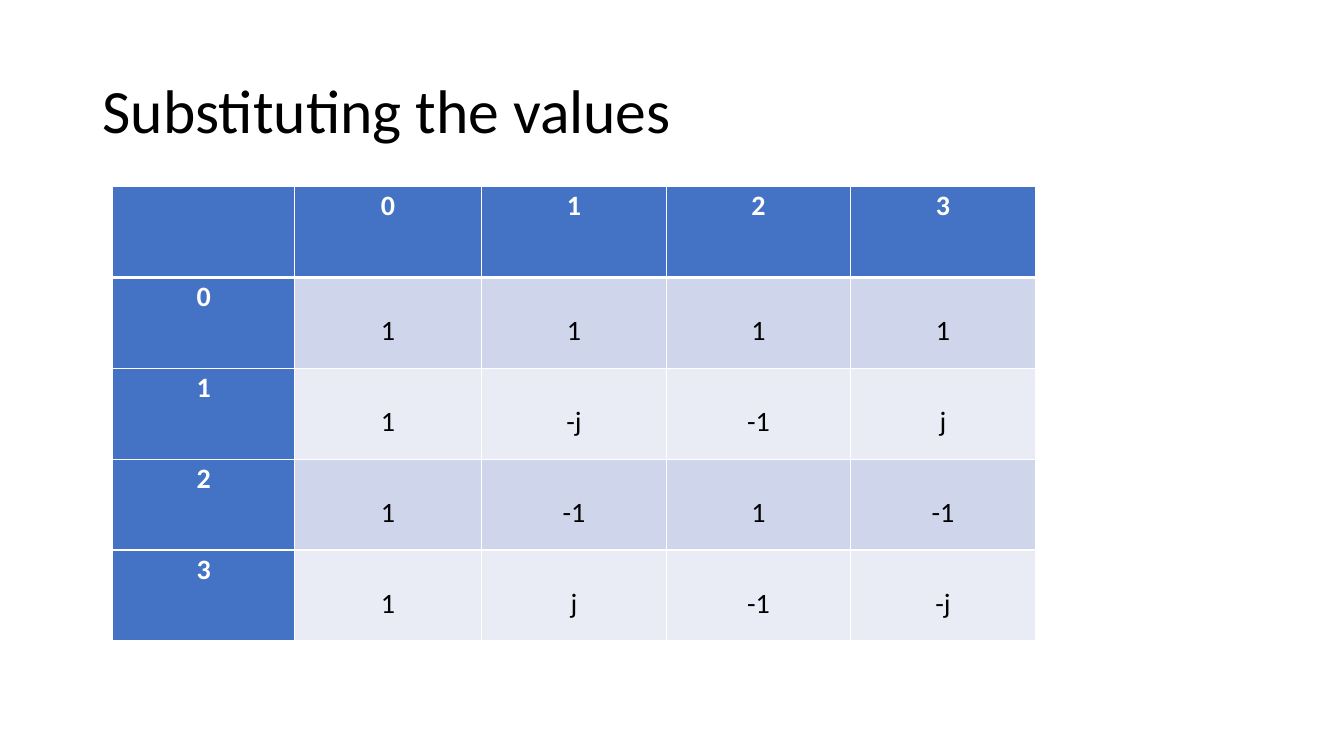
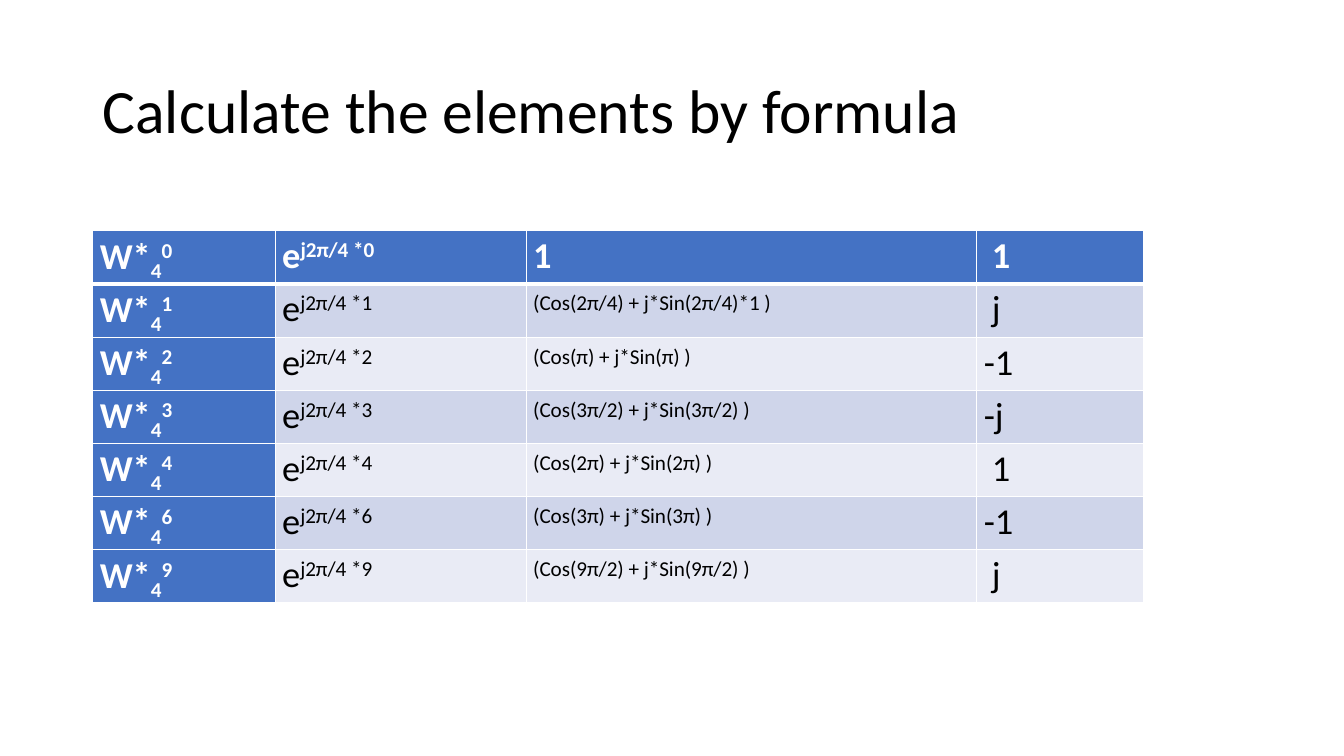
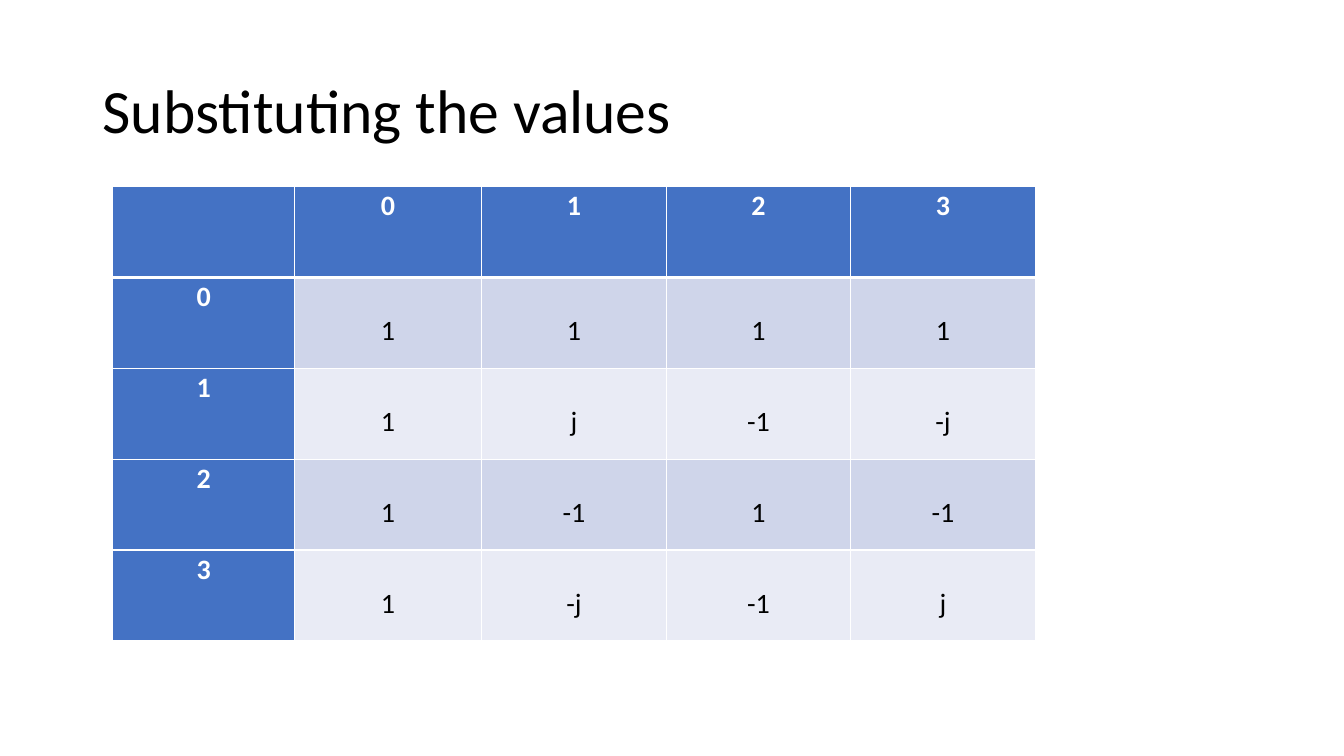
from lxml.etree import SubElement
from pptx import Presentation
from pptx.dml.color import RGBColor
from pptx.enum.text import MSO_ANCHOR, PP_ALIGN
from pptx.oxml.ns import qn
from pptx.util import Inches, Pt

FONT = "Calibri"
WHITE = RGBColor(0xFF, 0xFF, 0xFF)
BLACK = RGBColor(0x00, 0x00, 0x00)
BLUE = RGBColor(0x44, 0x72, 0xC4)
BANDS = (RGBColor(0xCF, 0xD5, 0xEA), RGBColor(0xE9, 0xEB, 0xF5))

SUB, SUP = -25, 30
TITLE_BOX = (6.9, 5.33, 86.25, 19.33)
MATRIX_BOX = (8.4, 24.67, 68.63, 60.13)
MATRIX_COLS = (1.8, 1.86, 1.83, 1.83, 1.83)
FORMULA_BOX = (6.9, 30.53, 78.23, 49.07)
FORMULA_COLS = (1.81, 2.49, 4.47, 1.66)

prs = Presentation()
prs.slide_width = Inches(13.33)
prs.slide_height = Inches(7.5)


def percent(box):
    sizes = (prs.slide_width, prs.slide_height) * 2
    return [int(size * share / 100) for size, share in zip(sizes, box)]


def add_run(p, text, size, color, bold=False, baseline=0):
    r = p.add_run()
    r.text = text
    r.font.name = FONT
    r.font.size = Pt(size)
    r.font.bold = bold
    r.font.color.rgb = color
    if baseline:
        r._r.get_or_add_rPr().set("baseline", str(baseline * 1000))


def add_title_slide(title):
    s = prs.slides.add_slide(prs.slide_layouts[6])
    tf = s.shapes.add_textbox(*percent(TITLE_BOX)).text_frame
    tf.word_wrap = True
    tf.vertical_anchor = MSO_ANCHOR.MIDDLE
    p = tf.paragraphs[0]
    p.line_spacing = 0.9
    add_run(p, title, 44, BLACK)
    return s


def set_borders(cell, row):
    widths = {"L": 1, "R": 1, "T": 3 if row == 1 else 1, "B": 3 if row == 0 else 1}
    tcPr = cell._tc.get_or_add_tcPr()
    for side, width in widths.items():
        ln = SubElement(tcPr, qn(f"a:ln{side}"), w=str(Pt(width)))
        fill = SubElement(ln, qn("a:solidFill"))
        SubElement(fill, qn("a:srgbClr"), val=str(WHITE))


def fill_cell(cell, row, col, runs, size, align, body_top):
    is_head = row == 0 or col == 0
    set_borders(cell, row)
    cell.fill.solid()
    cell.fill.fore_color.rgb = BLUE if is_head else BANDS[(row - 1) % 2]
    cell.margin_left = cell.margin_right = Inches(0.07)
    cell.margin_top = 0 if is_head else Inches(body_top)
    cell.margin_bottom = 0
    p = cell.text_frame.paragraphs[0]
    p.alignment = align
    p.line_spacing = 1.07
    for text, baseline in runs:
        add_run(p, text, size, WHITE if is_head else BLACK, is_head, baseline)


def add_grid(s, box, col_shares, rows, size, align, body_top=0):
    left, top, width, height = percent(box)
    table = s.shapes.add_table(len(rows), len(col_shares), left, top, width, height).table
    table.horz_banding = False
    for column, share in zip(table.columns, col_shares):
        column.width = int(width * share / sum(col_shares))
    for i, row in enumerate(rows):
        table.rows[i].height = height // len(rows)
        for j, runs in enumerate(row):
            fill_cell(table.cell(i, j), i, j, runs, size, align, body_top)


def add_matrix_slide(powers):
    s = add_title_slide("Substituting the values")
    n = len(powers)
    rows = [[[]] + [[(str(k), 0)] for k in range(n)]]
    for i in range(n):
        rows.append([[(str(i), 0)]] + [[(powers[i * k % n], 0)] for k in range(n)])
    add_grid(s, MATRIX_BOX, MATRIX_COLS, rows, 20, PP_ALIGN.CENTER, 0.34)


def add_formula_slide(elements):
    s = add_title_slide("Calculate the elements by formula")
    rows = []
    for k, expansion, value in elements:
        rows.append([
            [("W*", 0), ("4", SUB), (str(k), SUP)],
            [("e", 0), (f"j2π/4 *{k}", SUP)],
            [(expansion, SUP if k else 0)],
            [(value, 0)],
        ])
    add_grid(s, FORMULA_BOX, FORMULA_COLS, rows, 26, PP_ALIGN.LEFT)


def main():
    add_matrix_slide(("1", "-j", "-1", "j"))
    add_formula_slide((
        (0, "1", " 1"),
        (1, "(Cos(2π/4) + j*Sin(2π/4)*1 )", " j"),
        (2, "(Cos(π) + j*Sin(π) )", "-1"),
        (3, "(Cos(3π/2) + j*Sin(3π/2) )", "-j"),
        (4, "(Cos(2π) + j*Sin(2π) )", " 1"),
        (6, "(Cos(3π) + j*Sin(3π) )", "-1"),
        (9, "(Cos(9π/2) + j*Sin(9π/2) )", " j"),
    ))
    add_matrix_slide(("1", "j", "-1", "-j"))
    prs.save("out.pptx")


if __name__ == "__main__":
    main()
